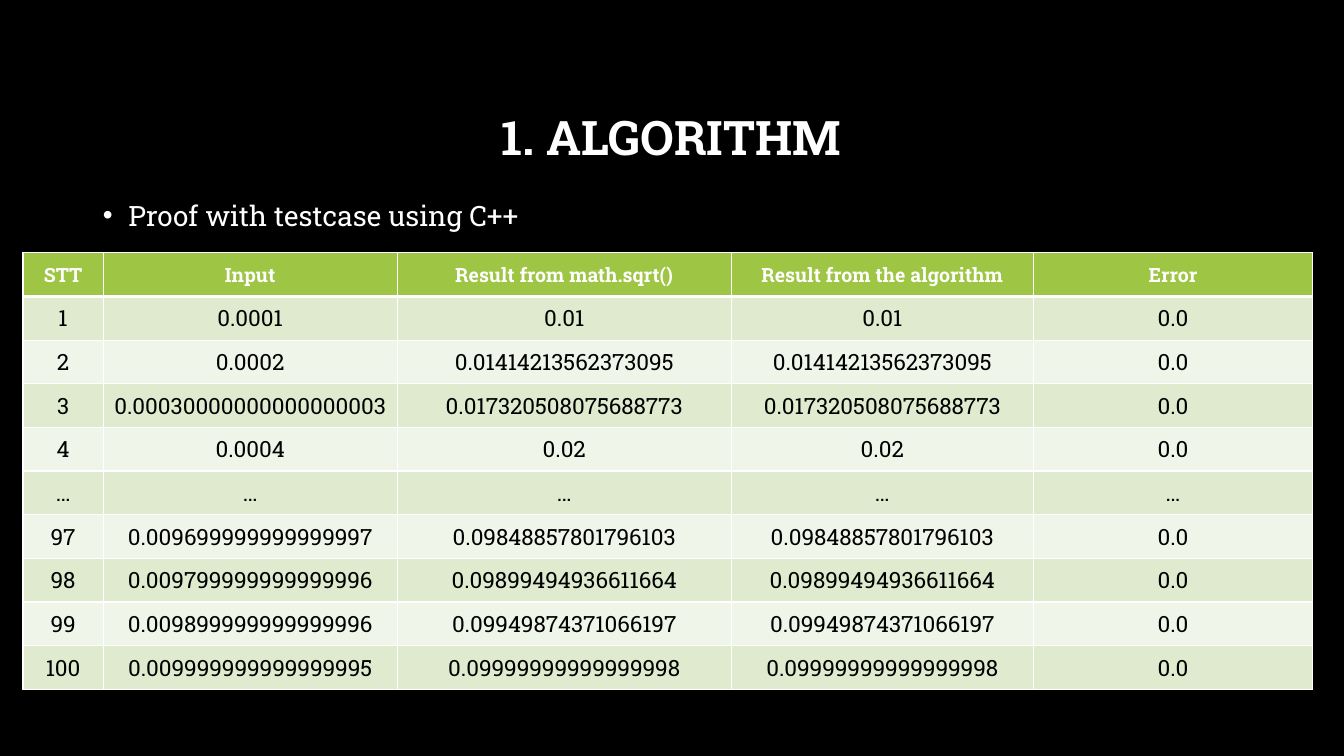
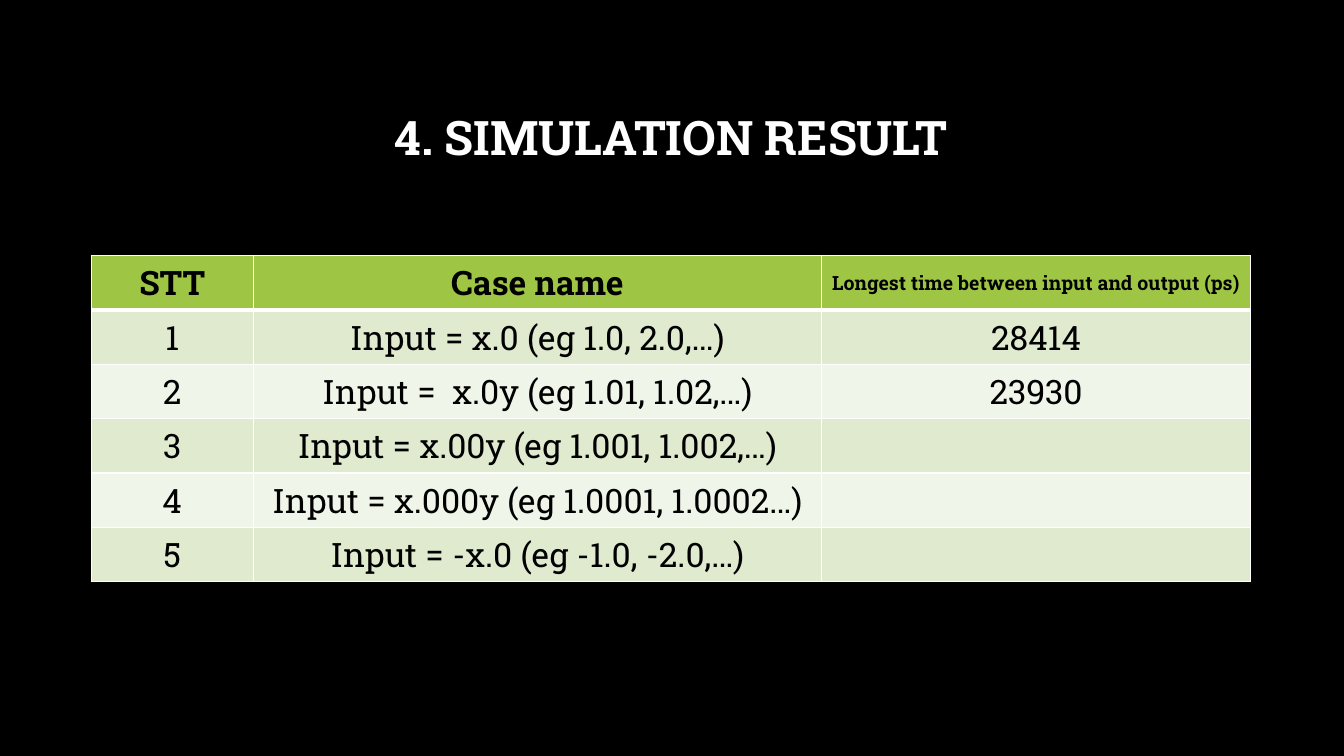
import dataclasses

import lxml.etree
import pptx
import pptx.dml.color
import pptx.enum.text
import pptx.oxml.ns
import pptx.util

Cm = pptx.util.Cm
Pt = pptx.util.Pt


@dataclasses.dataclass(frozen=True)
class Theme:
    font: str = "Roboto Slab"
    black: str = "000000"
    white: str = "FFFFFF"
    green: str = "9EC544"
    bands: tuple = ("DFEACF", "F0F5E9")
    title: int = 34
    body: int = 20
    large: int = 24
    cell: int = 16
    small: int = 14
    thin: int = 1
    thick: int = 3


THEME = Theme()

# Content: the result of both methods is the same in every test
TESTS = [
    ("1", "0.0001", "0.01", "0.0"),
    ("2", "0.0002", "0.01414213562373095", "0.0"),
    ("3", "0.00030000000000000003", "0.017320508075688773", "0.0"),
    ("4", "0.0004", "0.02", "0.0"),
    ("…", "…", "…", "…"),
    ("97", "0.009699999999999997", "0.09848857801796103", "0.0"),
    ("98", "0.009799999999999996", "0.09899494936611664", "0.0"),
    ("99", "0.009899999999999996", "0.09949874371066197", "0.0"),
    ("100", "0.009999999999999995", "0.09999999999999998", "0.0"),
]
CASES = [
    ("Input = x.0 (eg 1.0, 2.0,…)", "28414"),
    ("Input =  x.0y (eg 1.01, 1.02,…)", "23930"),
    ("Input = x.00y (eg 1.001, 1.002,…)", ""),
    ("Input = x.000y (eg 1.0001, 1.0002…)", ""),
    ("Input = -x.0 (eg -1.0, -2.0,…)", ""),
]

SLIDES = [
    {
        "title": "1. ALGORITHM",
        "point": "Proof with testcase using C++",
        "left": 0.58, "top": 6.37, "high": 1.1,
        "cols": (2.02, 7.41, 8.42, 7.61, 7.04),
        "head": ("STT", "Input", "Result from math.sqrt()",
                 "Result from the algorithm", "Error"),
        "sizes": (THEME.small,) * 5,
        "ink": THEME.white,
        "rows": [(num, given, root, root, error)
                 for num, given, root, error in TESTS],
        "size": THEME.cell,
    },
    {
        "title": "4. SIMULATION RESULT",
        "point": None,
        "left": 2.3, "top": 6.44, "high": 1.37,
        "cols": (4.08, 14.33, 10.8),
        "head": ("STT", "Case name",
                 "Longest time between input and output (ps)"),
        "sizes": (THEME.large, THEME.large, THEME.small),
        "ink": THEME.black,
        "rows": [(str(num), *case) for num, case in enumerate(CASES, 1)],
        "size": THEME.large,
    },
]


def color(code):
    return pptx.dml.color.RGBColor.from_string(code)


def place(shape, left, top, width, height):
    shape.left, shape.top = Cm(left), Cm(top)
    shape.width, shape.height = Cm(width), Cm(height)


def style(para, size, ink, bold=False):
    for run in para.runs:
        run.font.name = THEME.font
        run.font.size = Pt(size)
        run.font.bold = bold
        run.font.color.rgb = color(ink)


def border(cell, base):
    """Draw thin white edges, with a chosen width at the base."""
    props = cell._tc.get_or_add_tcPr()
    widths = {"lnL": THEME.thin, "lnR": THEME.thin,
              "lnT": THEME.thin, "lnB": base}
    for name, width in widths.items():
        line = lxml.etree.SubElement(props, pptx.oxml.ns.qn("a:" + name),
                                     w=str(Pt(width)))
        fill = lxml.etree.SubElement(line, pptx.oxml.ns.qn("a:solidFill"))
        lxml.etree.SubElement(fill, pptx.oxml.ns.qn("a:srgbClr"),
                              val=THEME.white)


def fill_cell(cell, text, size, ink, back, bold=False, base=THEME.thin):
    cell.text_frame.text = text
    cell.vertical_anchor = pptx.enum.text.MSO_ANCHOR.MIDDLE
    cell.margin_left = cell.margin_right = Cm(0.2)
    cell.margin_top = cell.margin_bottom = Cm(0.1)
    para = cell.text_frame.paragraphs[0]
    para.alignment = pptx.enum.text.PP_ALIGN.CENTER
    style(para, size, ink, bold)
    border(cell, base)
    cell.fill.solid()
    cell.fill.fore_color.rgb = color(back)


def add_grid(slide, data):
    count = len(data["rows"]) + 1
    frame = slide.shapes.add_table(
        count, len(data["cols"]), Cm(data["left"]), Cm(data["top"]),
        Cm(sum(data["cols"])), Cm(data["high"] * count))
    table = frame.table
    for col, width in zip(table.columns, data["cols"]):
        col.width = Cm(width)
    for row in table.rows:
        row.height = Cm(data["high"])

    # Header row
    for col, (text, size) in enumerate(zip(data["head"], data["sizes"])):
        fill_cell(table.cell(0, col), text, size, data["ink"], THEME.green,
                  bold=True, base=THEME.thick)

    # Banded rows
    for row, texts in enumerate(data["rows"], 1):
        back = THEME.bands[(row - 1) % 2]
        for col, text in enumerate(texts):
            fill_cell(table.cell(row, col), text, data["size"],
                      THEME.black, back)


def add_title(slide, text):
    frame = slide.shapes.title.text_frame
    frame.text = text
    frame.vertical_anchor = pptx.enum.text.MSO_ANCHOR.MIDDLE
    para = frame.paragraphs[0]
    para.alignment = pptx.enum.text.PP_ALIGN.CENTER
    para.line_spacing = 0.9
    style(para, THEME.title, THEME.white, bold=True)


def add_point(slide, text):
    body = slide.placeholders[1]
    place(body, 2.34, 4.7, 29.21, 1.68)
    frame = body.text_frame
    frame.text = text
    frame.auto_size = pptx.enum.text.MSO_AUTO_SIZE.NONE
    para = frame.paragraphs[0]
    props = para._p.get_or_add_pPr()
    props.set("marL", str(Cm(0.64)))
    props.set("indent", str(Cm(-0.64)))
    para.line_spacing = 1.2
    para.space_before = Pt(0)
    style(para, THEME.body, THEME.white)


def main():
    deck = pptx.Presentation()
    deck.slide_width, deck.slide_height = Cm(33.87), Cm(19.05)

    # Shared backdrop and title place
    master = deck.slide_master
    master.background.fill.solid()
    master.background.fill.fore_color.rgb = color(THEME.black)
    for holder in master.placeholders:
        if holder.placeholder_format.type == pptx.enum.shapes.PP_PLACEHOLDER.TITLE:
            place(holder, 2.54, 1.7, 28.75, 3.68)

    # Slides
    for data in SLIDES:
        name = "Title and Content" if data["point"] else "Title Only"
        slide = deck.slides.add_slide(deck.slide_layouts.get_by_name(name))
        add_title(slide, data["title"])
        if data["point"]:
            add_point(slide, data["point"])
        add_grid(slide, data)

    deck.save("out.pptx")


if __name__ == "__main__":
    main()
